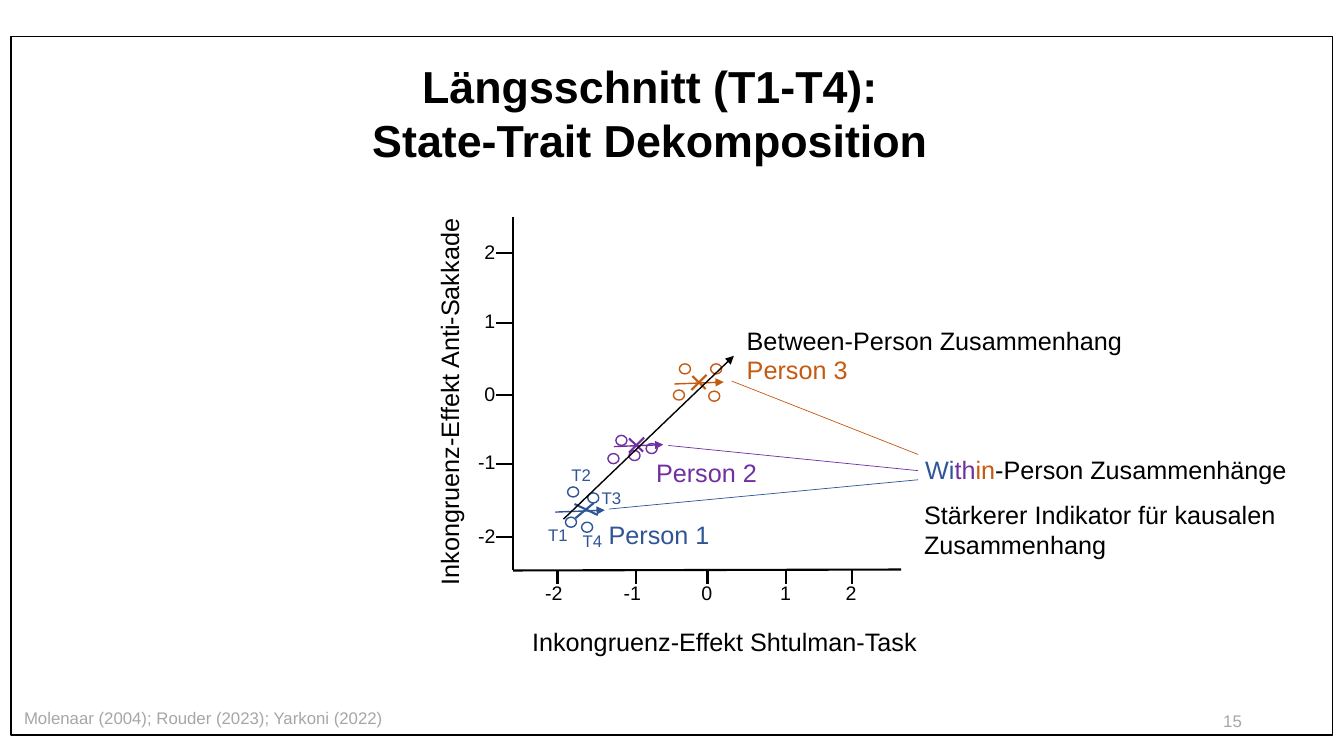
from dataclasses import dataclass

from lxml.etree import SubElement
from pptx import Presentation
from pptx.dml.color import RGBColor
from pptx.enum.shapes import MSO_CONNECTOR, MSO_SHAPE
from pptx.enum.text import MSO_ANCHOR, MSO_AUTO_SIZE, PP_ALIGN
from pptx.oxml.ns import qn
from pptx.util import Pt


@dataclass(frozen=True)
class Theme:
    """Font, colours and type sizes of the slide."""
    font: str = "Arial"
    ink: str = "000000"
    muted: str = "A6A6A6"
    blue: str = "2F5597"
    purple: str = "7030A0"
    orange: str = "C55A11"
    title: int = 32
    body: int = 18
    tick: int = 14
    small: int = 12


@dataclass(frozen=True)
class Person:
    """One person's measurements, mean, trend arrow and link to the legend."""
    name: str
    color: str
    name_at: tuple
    dots: tuple
    cross: tuple
    arrow_at: tuple
    link: tuple


T = Theme()
ORIGIN_X, ORIGIN_Y = 366.5, 407.5
TICKS = (-2, -1, 0, 1, 2)
X_TICKS = (398.2, 454.3, 505.4, 561.6, 608.4)
Y_TICKS = (383.8, 331.2, 282.2, 230.4, 180.7)
TIME_POINTS = {"T1": (384.5, 371.5), "T2": (401, 328.3),
               "T3": (422.6, 344.9), "T4": (409, 375.8)}
PERSONS = (
    Person("Person 1", T.blue, (427.7, 367.2),
           ((405.4, 347.8), (403.9, 369.4), (415.4, 373), (419.8, 352.1)),
           ((410.4, 360, 427, 367.9), (411.1, 370.1, 424.1, 359.3)),
           (396.7, 365.8), (434.9, 363.6, 655.9, 342.7)),
    Person("Person 2", T.purple, (461.5, 323.3),
           ((434.2, 324), (439.9, 311), (449.3, 321.8), (461.5, 316.8)),
           ((449.3, 323.3, 460.1, 312.5), (459.4, 322.6, 449.3, 313.2)),
           (438.5, 319), (477.4, 318.2, 655.9, 336.2)),
    Person("Person 3", T.orange, (526.3, 249.8),
           ((485.3, 259.9), (481, 278.6), (506.2, 279.4), (507.6, 259.9)),
           ((493.9, 278.6, 504.7, 267.8), (504, 277.9, 494.6, 268.6)),
           (481.7, 274.3), (522.7, 272.2, 655.9, 324.7)),
)


def add_run(p, text, size, color, bold=False):
    """Append one formatted run to a paragraph."""
    r = p.add_run()
    r.text = text
    r.font.name, r.font.size, r.font.bold = T.font, Pt(size), bold
    r.font.color.rgb = RGBColor.from_string(color)


def add_title(s, lines):
    """Fill and place the title placeholder, one paragraph a line."""
    sp = s.shapes.title
    sp.left, sp.top, sp.width, sp.height = Pt(39.6), Pt(38.2), Pt(849.6), Pt(85)
    tf = sp.text_frame
    tf.auto_size, tf.vertical_anchor = MSO_AUTO_SIZE.NONE, MSO_ANCHOR.TOP
    for i, line in enumerate(lines):
        p = tf.add_paragraph() if i else tf.paragraphs[0]
        p.alignment = PP_ALIGN.CENTER
        add_run(p, line, T.title, T.ink, bold=True)


def add_text(s, x, y, w, h, runs, size=T.body, align=PP_ALIGN.LEFT):
    """Add a wrapped text box from (text, colour) runs."""
    sp = s.shapes.add_textbox(Pt(x), Pt(y), Pt(w), Pt(h))
    tf = sp.text_frame
    tf.word_wrap = True
    p = tf.paragraphs[0]
    p.alignment = align
    for text, color in runs:
        add_run(p, text, size, color)
    return sp


def add_outline(s, kind, x, y, w, h, color):
    """Add an unfilled preset shape."""
    sp = s.shapes.add_shape(kind, Pt(x), Pt(y), Pt(w), Pt(h))
    sp.shadow.inherit = False
    sp.fill.background()
    sp.line.color.rgb = RGBColor.from_string(color)
    sp.line.width = Pt(1)


def add_line(s, x1, y1, x2, y2, color=T.ink, width=1.5, arrow=False):
    """Add a straight line, with an arrowhead at its end if asked."""
    c = s.shapes.add_connector(MSO_CONNECTOR.STRAIGHT, Pt(x1), Pt(y1), Pt(x2), Pt(y2))
    c.line.color.rgb = RGBColor.from_string(color)
    c.line.width = Pt(width)
    if arrow:
        SubElement(c.line._get_or_add_ln(), qn("a:tailEnd"), type="triangle")
    SubElement(c._element.spPr, qn("a:effectLst"))


def add_axes(s):
    """Draw both axes with ticks, numbers and names."""
    add_line(s, ORIGIN_X, ORIGIN_Y, 643.7, 406.8)
    add_line(s, ORIGIN_X, 154.8, ORIGIN_X, ORIGIN_Y)
    for value, x, y in zip(TICKS, X_TICKS, Y_TICKS):
        label = [(str(value), T.ink)]
        shift, width = (4.5, 28.1) if value < 0 else (0, 19.4)
        add_line(s, x, ORIGIN_Y, x, ORIGIN_Y + 9.4)
        add_line(s, ORIGIN_X - 12.3, y, ORIGIN_X, y)
        add_text(s, x - 11.4 - shift, 411.7, width, 24.5, label, T.tick)
        add_text(s, 339 - shift, y - 13, width, 24.5, label, T.tick)
    add_text(s, 373, 444.2, 318.2, 28.8, [("Inkongruenz-Effekt Shtulman-Task", T.ink)])
    sp = add_text(s, 179.3, 269.3, 283, 28.8, [("Inkongruenz-Effekt Anti-Sakkade", T.ink)])
    sp.rotation = 270


def add_person(s, person):
    """Draw one person's dots, mean cross, arrow, link and name."""
    for x, y in person.dots:
        add_outline(s, MSO_SHAPE.OVAL, x, y, 7.9, 7.2, person.color)
    for stroke in person.cross:
        add_line(s, *stroke, person.color)
    x, y = person.arrow_at
    add_line(s, x, y, x + 35.3, y - 1.4, person.color, 1, arrow=True)
    add_line(s, *person.link, person.color, 0.5)
    add_text(s, *person.name_at, 115, 28.8, [(person.name, person.color)])


def main():
    """Build and save the slide."""
    prs = Presentation()
    prs.slide_width, prs.slide_height = Pt(960), Pt(540)
    s = prs.slides.add_slide(prs.slide_layouts[5])
    add_title(s, ("Längsschnitt (T1-T4):", "State-Trait Dekomposition"))
    add_outline(s, MSO_SHAPE.RECTANGLE, 7.9, 25.9, 943.9, 499, T.ink)
    add_axes(s)
    for person in PERSONS:
        add_person(s, person)
    for label, (x, y) in TIME_POINTS.items():
        add_text(s, x, y, 41.8, 21.6, [(label, T.blue)], T.small)
    add_line(s, 402.5, 370.8, 524.2, 254.2, width=1, arrow=True)
    add_text(s, 526.3, 229, 300.2, 28.8, [("Between-Person Zusammenhang", T.ink)])
    add_text(s, 653.8, 321.1, 300.2, 28.8,
             [("Wi", T.blue), ("th", T.purple), ("in", T.orange),
              ("-Person Zusammenhänge", T.ink)])
    add_text(s, 653, 352.8, 300.2, 51.1,
             [("Stärkerer Indikator für kausalen Zusammenhang", T.ink)])
    add_text(s, 10.1, 501.8, 418.3, 21.6,
             [("Molenaar (2004); Rouder (2023); Yarkoni (2022)", T.muted)], T.small)
    sp = add_text(s, 678.2, 500.4, 216, 28.8, [("15", T.muted)], T.small, PP_ALIGN.RIGHT)
    sp.text_frame.vertical_anchor = MSO_ANCHOR.MIDDLE
    prs.save("out.pptx")


if __name__ == "__main__":
    main()
